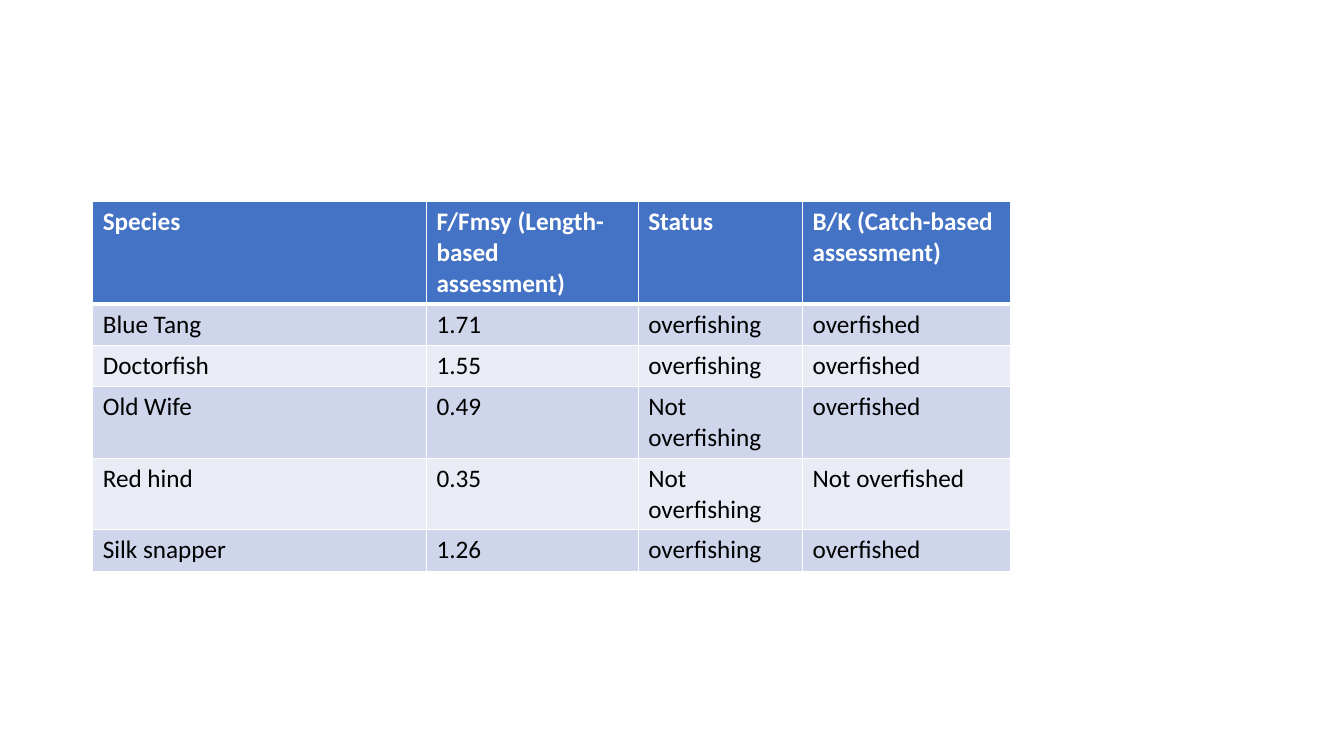
from lxml.etree import SubElement
from pptx import Presentation
from pptx.dml.color import RGBColor
from pptx.oxml.ns import qn
from pptx.util import Inches, Pt

FONT = "Calibri"
WHITE, BLACK = "FFFFFF", "000000"
HEADER_FILL = "4472C4"
BAND_FILLS = ["CFD5EA", "E9EBF5"]
COLUMN_WIDTHS = [3.31, 2.1, 1.63, 2.06]
ROW_HEIGHT = 0.41
STOCKS = [
    ["Species", "F/Fmsy (Length-based assessment)", "Status",
     "B/K (Catch-based assessment)"],
    ["Blue Tang", "1.71", "overfishing", "overfished"],
    ["Doctorfish", "1.55", "overfishing", "overfished"],
    ["Old Wife", "0.49", "Not overfishing", "overfished"],
    ["Red hind", "0.35", "Not overfishing", "Not overfished"],
    ["Silk snapper", "1.26", "overfishing", "overfished"],
]


def color(value):
    return RGBColor.from_string(value)


def write_text(frame, text, size=18, fill=BLACK, bold=False):
    span = frame.paragraphs[0].add_run()
    span.text = text
    span.font.name = FONT
    span.font.size = Pt(size)
    span.font.bold = bold
    span.font.color.rgb = color(fill)


def set_borders(cell, top=1, bottom=1):
    """Draw white cell borders; widths are in points."""
    properties = cell._tc.get_or_add_tcPr()
    for side, width in (("L", 1), ("R", 1), ("T", top), ("B", bottom)):
        line = SubElement(properties, qn(f"a:ln{side}"), w=str(Pt(width)))
        fill = SubElement(line, qn("a:solidFill"))
        SubElement(fill, qn("a:srgbClr"), val=WHITE)


def set_fill(cell, fill):
    cell.fill.solid()
    cell.fill.fore_color.rgb = color(fill)


def add_stock_table(page, left, top):
    frame = page.shapes.add_table(
        len(STOCKS), len(COLUMN_WIDTHS), Inches(left), Inches(top),
        Inches(sum(COLUMN_WIDTHS)), Inches(ROW_HEIGHT * len(STOCKS)))
    table = frame.table
    for column, width in zip(table.columns, COLUMN_WIDTHS):
        column.width = Inches(width)

    for row_index, values in enumerate(STOCKS):
        table.rows[row_index].height = Inches(ROW_HEIGHT)
        header = row_index == 0
        for column_index, text in enumerate(values):
            cell = table.cell(row_index, column_index)
            # A thick rule separates the header from the first species
            set_borders(cell, top=3 if row_index == 1 else 1,
                        bottom=3 if header else 1)
            set_fill(cell, HEADER_FILL if header
                     else BAND_FILLS[(row_index - 1) % 2])
            write_text(cell.text_frame, text, bold=header,
                       fill=WHITE if header else BLACK)


def main():
    deck = Presentation()
    deck.slide_width, deck.slide_height = Inches(13.33), Inches(7.5)
    page = deck.slides.add_slide(deck.slide_layouts[6])

    # Stock status by species
    add_stock_table(page, 0.92, 2)

    deck.save("out.pptx")


if __name__ == "__main__":
    main()
